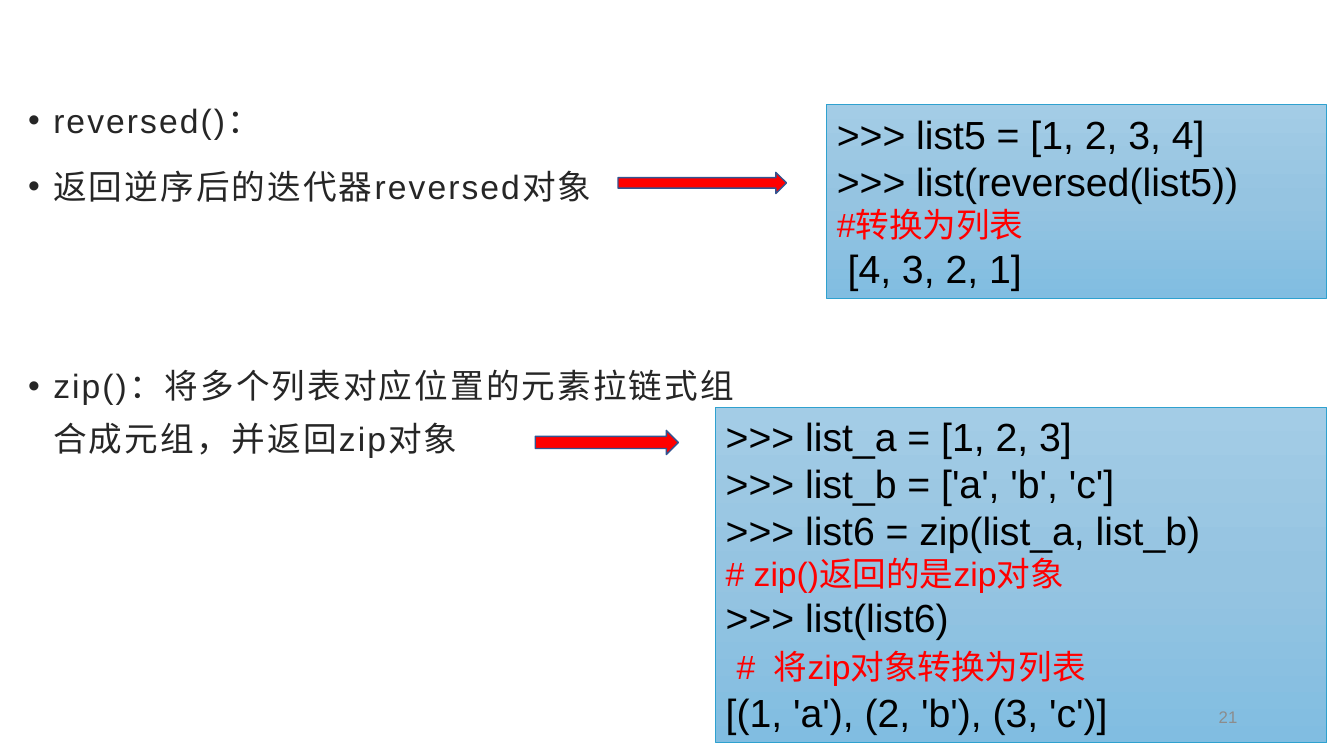
from copy import deepcopy
from pptx import Presentation
from pptx import util as u
from pptx.dml.color import RGBColor
from pptx.enum import shapes, text
from pptx.oxml.ns import qn
from lxml import etree

THEME = dict(
    font="Arial", body="262626", code="000000", note="FF0000", number="8C8C8C",
    panel=("A3CCE6", "95C4E1", "81BDE1"), panel_line="2FA1CF",
    arrow="FF0000", arrow_line="325491",
    code_pt=28, body_pt=24, number_pt=12,
)

prs = Presentation()
prs.slide_width, prs.slide_height = u.Inches(13.33), u.Inches(7.5)
s = prs.slides.add_slide(prs.slide_layouts[6])


def place(x, y, w, h):
    """Percentages of the slide's width and height as lengths."""
    sides = (prs.slide_width, prs.slide_height) * 2
    return [int(side * share / 100) for side, share in zip(sides, (x, y, w, h))]


def add_run(p, words, size, color):
    r = p.add_run()
    r.text = words
    r.font.name = THEME["font"]
    r.font.size = u.Pt(THEME[size])
    r.font.color.rgb = RGBColor.from_string(THEME[color])
    return r


# Bullet list; the last item stands apart from the first two
bullets = [
    ("reversed()：", 0),
    ("返回逆序后的迭代器reversed对象", 0),
    ("zip()：将多个列表对应位置的元素拉链式组合成元组，并返回zip对象", 95),
]
tf = s.shapes.add_textbox(*place(1.35, 10.93, 54.46, 82.93)).text_frame
tf.word_wrap = True
for i, (words, before) in enumerate(bullets):
    p = tf.paragraphs[0] if i == 0 else tf.add_paragraph()
    pPr = p._p.get_or_add_pPr()
    pPr.set("marL", str(u.Inches(0.25)))
    pPr.set("indent", str(-u.Inches(0.25)))
    etree.SubElement(pPr, qn("a:buFont")).set("typeface", THEME["font"])
    etree.SubElement(pPr, qn("a:buChar")).set("char", "•")
    p.line_spacing = 1.3
    p.space_after = u.Pt(10)
    if before:
        p.space_before = u.Pt(before)
    r = add_run(p, words, "body_pt", "body")
    r._r.get_or_add_rPr().set("spc", "150")

# Code panels, flush with a common right edge
RIGHT = 98.72
CODE, NOTE = ("code_pt", "code"), ("body_pt", "note")
panels = [
    (61.52, 13.87, 25.6, [
        [(">>> list5 = [1, 2, 3, 4]", CODE)],
        [(">>> list(reversed(list5))", CODE)],
        [("#转换为列表", NOTE)],
        [(" [4, 3, 2, 1]", CODE)],
    ]),
    (53.26, 53.87, 44.4, [
        [(">>> list_a = [1, 2, 3]", CODE)],
        [(">>> list_b = ['a', 'b', 'c']", CODE)],
        [(">>> list6 = zip(list_a, list_b)", CODE)],
        [("# zip()返回的是zip对象", NOTE)],
        [(">>> list(list6)", CODE)],
        [(" ", CODE), ("#  将zip对象转换为列表", NOTE)],
        [("[(1, 'a'), (2, 'b'), (3, 'c')]", CODE)],
    ]),
]
for x, y, h, lines in panels:
    sp = s.shapes.add_shape(shapes.MSO_SHAPE.RECTANGLE, *place(x, y, RIGHT - x, h))
    sp.shadow.inherit = False
    sp.line.color.rgb = RGBColor.from_string(THEME["panel_line"])
    sp.line.width = u.Pt(0.5)
    # Vertical gradient with a middle stop
    sp.fill.gradient()
    sp.fill.gradient_angle = 270
    stops = sp._element.spPr.find(".//" + qn("a:gsLst"))
    stops.insert(1, deepcopy(stops[0]))
    for i, (stop, color) in enumerate(zip(sp.fill.gradient_stops, THEME["panel"])):
        stop.position = i / 2
        stop.color.rgb = RGBColor.from_string(color)
    tf = sp.text_frame
    tf.word_wrap = True
    tf.auto_size = text.MSO_AUTO_SIZE.SHAPE_TO_FIT_TEXT
    tf.vertical_anchor = text.MSO_ANCHOR.TOP
    for i, line in enumerate(lines):
        p = tf.paragraphs[0] if i == 0 else tf.add_paragraph()
        p.alignment = text.PP_ALIGN.LEFT
        for words, style in line:
            add_run(p, words, *style)

# Arrows from the bullets to their code
for box in [(45.99, 22.8, 12.53, 2.8), (39.83, 56.93, 10.65, 3.2)]:
    sp = s.shapes.add_shape(shapes.MSO_SHAPE.RIGHT_ARROW, *place(*box))
    sp.shadow.inherit = False
    sp.fill.solid()
    sp.fill.fore_color.rgb = RGBColor.from_string(THEME["arrow"])
    sp.line.color.rgb = RGBColor.from_string(THEME["arrow_line"])
    sp.line.width = u.Pt(1)

# Slide number
tf = s.shapes.add_textbox(*place(70.67, 92.53, 22.13, 4.67)).text_frame
tf.word_wrap = True
tf.vertical_anchor = text.MSO_ANCHOR.MIDDLE
p = tf.paragraphs[0]
p.alignment = text.PP_ALIGN.RIGHT
add_run(p, "21", "number_pt", "number")

prs.save("out.pptx")
